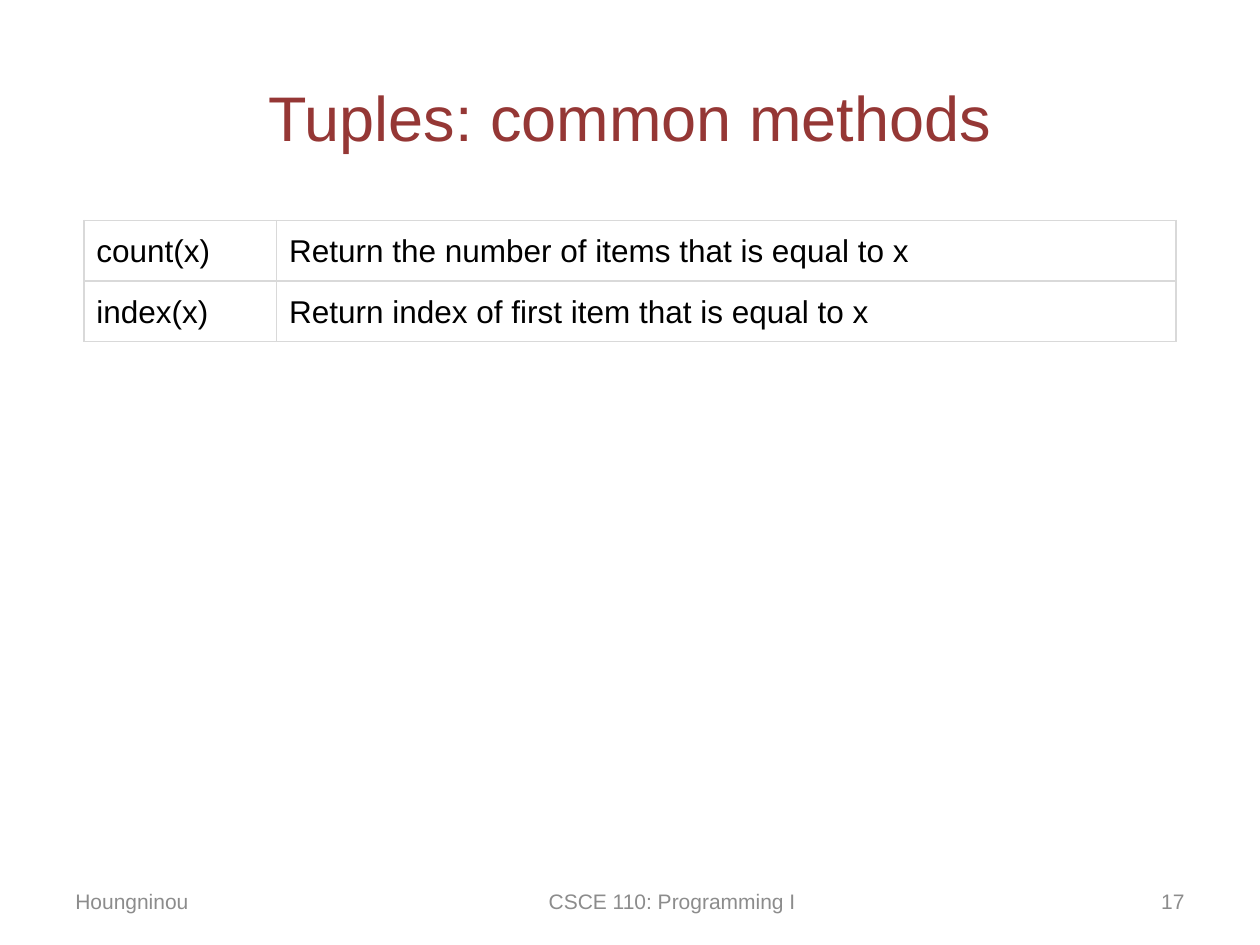
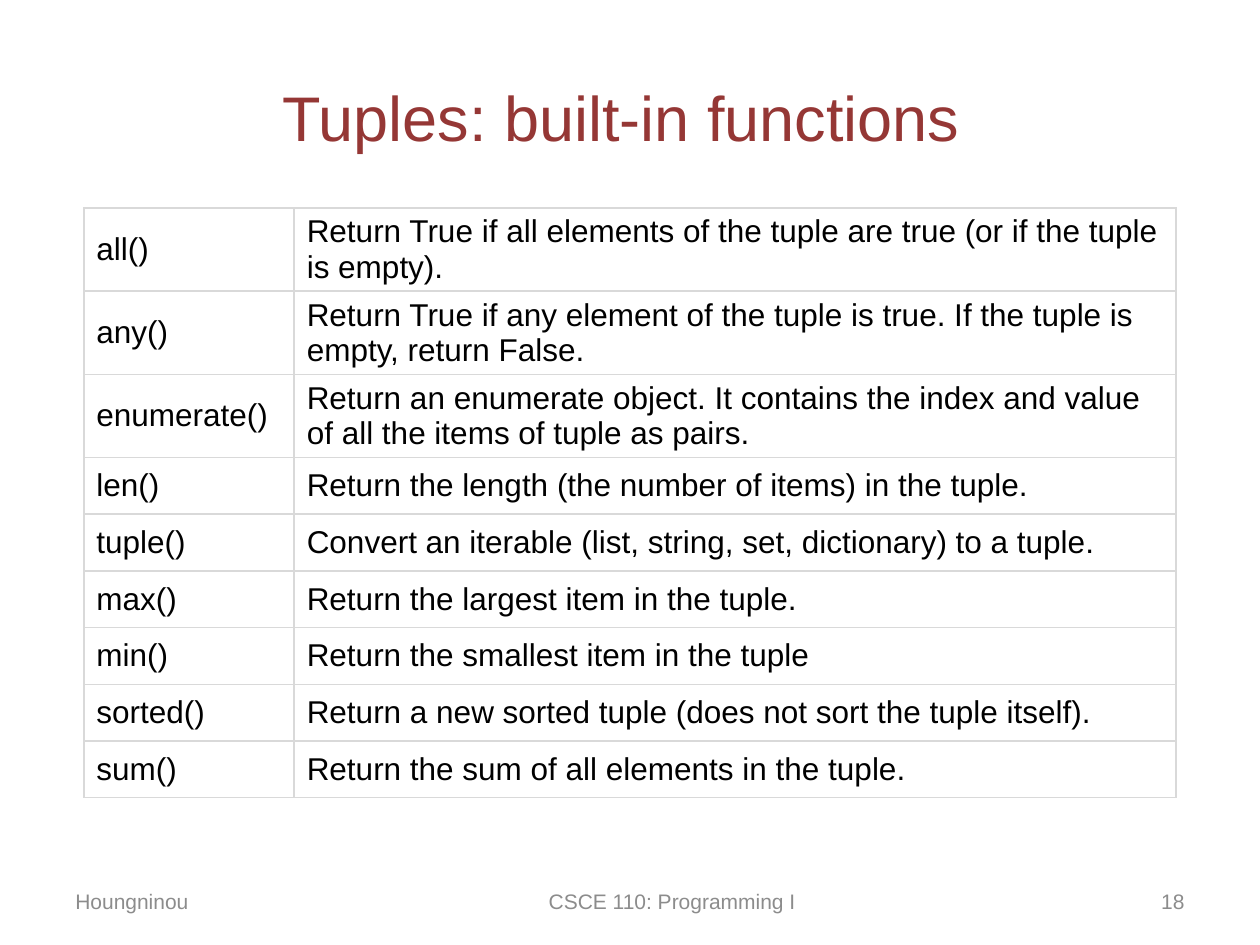
from dataclasses import dataclass

from lxml import etree
from pptx import Presentation
from pptx.dml.color import RGBColor
from pptx.enum import text
from pptx.oxml import ns
from pptx.util import Inches, Pt


@dataclass(frozen=True)
class Theme:
    font: str = "Arial"
    title: str = "953735"
    body: str = "000000"
    muted: str = "8C8C8C"
    border: str = "D9D9D9"
    title_size: int = 36
    body_size: int = 18
    footer_size: int = 12
    border_width: int = 1


class Deck:
    def __init__(self, theme):
        self.theme = theme
        self.prs = Presentation()
        self.prs.slide_width, self.prs.slide_height = Inches(10), Inches(7.5)
        self.slide = None

    def style(self, p, size, color, align=text.PP_ALIGN.LEFT):
        p.alignment = align
        p.font.name = self.theme.font
        p.font.size = Pt(size)
        p.font.color.rgb = RGBColor.from_string(color)

    def add_slide(self, title, number):
        self.slide = self.prs.slides.add_slide(self.prs.slide_layouts[5])
        self.title(title)
        align = text.PP_ALIGN
        self.footer(str(number), 7.17, 2.33, align.RIGHT)
        self.footer("Houngninou", 0.5, 2.33, align.LEFT)
        self.footer("CSCE 110: Programming I", 3.42, 3.83, align.CENTER)

    def title(self, words):
        sp = self.slide.shapes.title
        sp.left, sp.top, sp.width, sp.height = map(Inches, (0.5, 0.3, 9, 1.25))
        tf = sp.text_frame
        tf.text = words
        tf.vertical_anchor = text.MSO_ANCHOR.MIDDLE
        self.style(tf.paragraphs[0], self.theme.title_size, self.theme.title,
                   text.PP_ALIGN.CENTER)

    def footer(self, words, left, width, align):
        sp = self.slide.shapes.add_textbox(
            Inches(left), Inches(6.95), Inches(width), Inches(0.4))
        tf = sp.text_frame
        tf.word_wrap = True
        tf.vertical_anchor = text.MSO_ANCHOR.MIDDLE
        tf.text = words
        self.style(tf.paragraphs[0], self.theme.footer_size, self.theme.muted, align)

    def table(self, top, widths, rows, margins=(0.1, 0.03, 0.1, 0.03), row_height=0.45):
        width = Inches(sum(widths))
        left = (self.prs.slide_width - width) // 2
        frame = self.slide.shapes.add_table(
            len(rows), len(widths), left, Inches(top),
            width, Inches(row_height * len(rows)))
        table = frame.table
        table.first_row = table.horz_banding = False
        for column, width in zip(table.columns, widths):
            column.width = Inches(width)
        for row, words in zip(table.rows, rows):
            row.height = Inches(row_height)
            for cell, value in zip(row.cells, words):
                self.cell(cell, value, margins)

    def cell(self, cell, words, margins):
        cell.text = words
        cell.vertical_anchor = text.MSO_ANCHOR.MIDDLE
        (cell.margin_left, cell.margin_top,
         cell.margin_right, cell.margin_bottom) = map(Inches, margins)
        self.style(cell.text_frame.paragraphs[0], self.theme.body_size, self.theme.body)
        self.borders(cell)
        cell.fill.background()

    def borders(self, cell):
        props = cell._tc.get_or_add_tcPr()
        for side in ("a:lnL", "a:lnR", "a:lnT", "a:lnB"):
            line = etree.SubElement(props, ns.qn(side), w=str(Pt(self.theme.border_width)))
            fill = etree.SubElement(line, ns.qn("a:solidFill"))
            etree.SubElement(fill, ns.qn("a:srgbClr"), val=self.theme.border)


METHODS = [
    ("count(x)", "Return the number of items that is equal to\u00a0x"),
    ("index(x)", "Return index of first item that is equal to\u00a0x"),
]

FUNCTIONS = [
    ("all()", "Return True if all elements of the tuple are true (or if the tuple is empty)."),
    ("any()", "Return True if any element of the tuple is true. If the tuple is empty, "
              "return False."),
    ("enumerate()", "Return an enumerate object. It contains the index and value of all "
                    "the items of tuple as pairs."),
    ("len()", "Return the length (the number of items) in the tuple."),
    ("tuple()", "Convert an iterable (list, string, set, dictionary) to a tuple."),
    ("max()", "Return the largest item in the tuple."),
    ("min()", "Return the smallest item in the tuple"),
    ("sorted()", "Return a new sorted tuple (does not sort the tuple itself)."),
    ("sum()", "Return the sum of all elements in the tuple."),
]

deck = Deck(Theme())

deck.add_slide("Tuples: common methods", 17)
deck.table(1.75, (1.53, 7.14), METHODS, margins=(0.1, 0.1, 0.08, 0.08))

deck.add_slide("Tuples: built-in functions\u00a0", 18)
deck.table(1.65, (1.67, 7), FUNCTIONS)

deck.prs.save("out.pptx")
